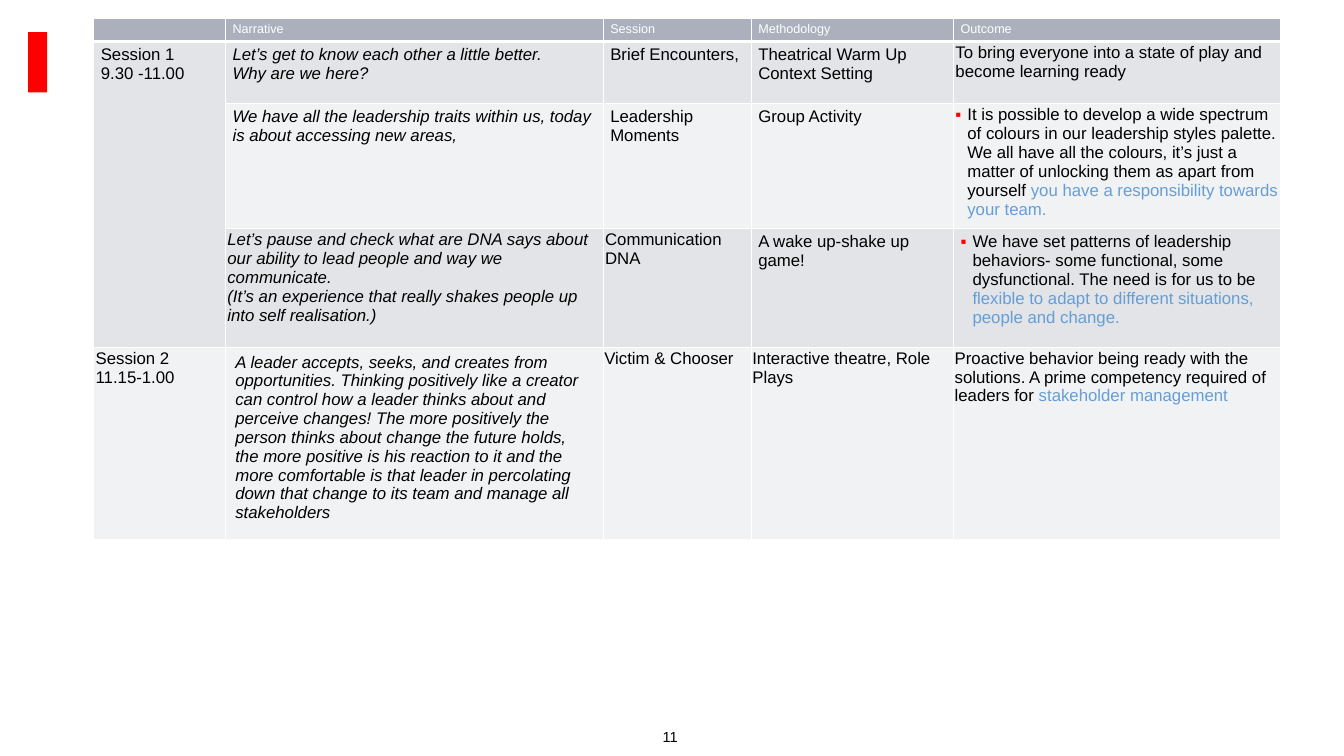
import pptx
import pptx.dml.color
import pptx.enum.shapes
import pptx.enum.text
import pptx.oxml.ns
import pptx.util
from lxml import etree
from pptx.util import Cm

FONT = "Arial"
BLACK, WHITE, RED, BLUE = "000000", "FFFFFF", "FF0000", "659ED7"
HEADER, DARK, LIGHT = "ABB0BC", "E2E4E7", "F1F2F3"
WIDE, NORMAL, SMALL, TINY = (0.25, 0.13), (0.18, 0.1), (0.05, 0.05), (0.03, 0.03)
COLUMNS = [3.32, 9.52, 3.73, 5.1, 8.25]
ROWS = [0.56, 1.57, 3.12, 3, 4.83]
HEADINGS = ["", "Narrative", "Session", "Methodology", "Outcome"]
NARRATIVE_COLUMN = 1
BULLETS = {(2, 4), (3, 4)}

AGENDA = [
    [
        (NORMAL, ["Session 1", "9.30 -11.00"]),
        (NORMAL, ["Let’s get to know each other a little better.", "Why are we here?"]),
        (NORMAL, ["Brief Encounters,"]),
        (NORMAL, ["Theatrical Warm Up", "Context Setting"]),
        (SMALL, ["To bring everyone into a state of play and become learning ready"]),
    ],
    [
        (NORMAL, []),
        (NORMAL, ["We have all the leadership traits within us, today is about "
                  "accessing new areas,"]),
        (NORMAL, ["Leadership Moments"]),
        (NORMAL, ["Group Activity"]),
        (SMALL, [("It is possible to develop a wide spectrum of colours in our "
                  "leadership styles palette. We all have all the colours, it’s just a "
                  "matter of unlocking them as apart from yourself ",
                  "you have a responsibility towards your team.")]),
    ],
    [
        (NORMAL, []),
        (SMALL, ["Let’s pause and check what are DNA says about our ability to lead "
                 "people and way we communicate.",
                 "(It’s an experience that really shakes people up into self "
                 "realisation.)"]),
        (SMALL, ["Communication DNA"]),
        (NORMAL, ["A wake up-shake up game!"]),
        (NORMAL, [("We have set patterns of leadership behaviors- some functional, some "
                   "dysfunctional. The need is for us to be ",
                   "flexible to adapt to different situations, people and change.")]),
    ],
    [
        (SMALL, ["Session 2", "11.15-1.00"]),
        (WIDE, ["A leader accepts, seeks, and creates from opportunities. Thinking "
                "positively like a creator can control how a leader thinks about and "
                "perceive changes! The more positively the person thinks about change "
                "the future holds, the more positive is his reaction to it and the more "
                "comfortable is that leader in percolating down that change to its team "
                "and manage all stakeholders"]),
        (TINY, ["Victim & Chooser"]),
        (TINY, ["Interactive theatre, Role Plays"]),
        (TINY, [("Proactive behavior being ready with the solutions. A prime competency "
                 "required of leaders for ", "stakeholder management")]),
    ],
]


def rgb(value):
    """Turn a hex string into a colour."""
    return pptx.dml.color.RGBColor.from_string(value)


def add_element(parent, tag, **attributes):
    """Append a DrawingML element to its parent."""
    return etree.SubElement(parent, pptx.oxml.ns.qn(tag), attributes)


def set_font(font, size, color, italic=False):
    """Set the look of a font."""
    font.name = FONT
    font.size = pptx.util.Pt(size)
    font.bold = False
    font.italic = italic
    font.color.rgb = rgb(color)


def set_margins(box, across, down):
    """Set the insets of a cell or text frame in centimetres."""
    box.margin_left = box.margin_right = Cm(across)
    box.margin_top = box.margin_bottom = Cm(down)


def add_bullet(p):
    """Give a paragraph a red square bullet with a hanging indent."""
    pPr = p._p.get_or_add_pPr()
    pPr.set("marL", str(Cm(0.3)))
    pPr.set("indent", str(-Cm(0.3)))
    add_element(add_element(pPr, "a:buClr"), "a:srgbClr", val=RED)
    add_element(pPr, "a:buFont", typeface=FONT)
    add_element(pPr, "a:buChar", char="▪")


def style_cell(cell, fill, bottom):
    """Draw white borders round a cell and fill it."""
    tcPr = cell._tc.get_or_add_tcPr()
    for side, width in (("L", 1), ("R", 1), ("T", 1), ("B", bottom)):
        line = add_element(tcPr, f"a:ln{side}", w=str(pptx.util.Pt(width)))
        add_element(add_element(line, "a:solidFill"), "a:srgbClr", val=WHITE)
    cell.fill.solid()
    cell.fill.fore_color.rgb = rgb(fill)


def write_cell(cell, margins, lines, size, color, italic=False, bullet=False):
    """Write paragraphs in a cell, with any second part of a line in blue."""
    set_margins(cell, *margins)
    tf = cell.text_frame
    for i, line in enumerate(lines):
        p = tf.add_paragraph() if i else tf.paragraphs[0]
        if bullet:
            add_bullet(p)
        set_font(p.font, size, color, italic)
        parts = [line] if isinstance(line, str) else line
        for j, text in enumerate(parts):
            r = p.add_run()
            r.text = text
            if j:
                r.font.color.rgb = rgb(BLUE)
    if not any(lines):
        add_element(tf.paragraphs[0]._p, "a:endParaRPr", sz=str(size * 100))


def add_agenda(s):
    """Add the agenda table."""
    frame = s.shapes.add_table(len(ROWS), len(COLUMNS), Cm(2.36), Cm(0.46),
                               Cm(sum(COLUMNS)), Cm(sum(ROWS)))
    table = frame.table
    table.horz_banding = False
    for column, width in zip(table.columns, COLUMNS):
        column.width = Cm(width)
    for row, height in zip(table.rows, ROWS):
        row.height = Cm(height)
    for c, heading in enumerate(HEADINGS):
        cell = table.cell(0, c)
        style_cell(cell, HEADER, 3)
        write_cell(cell, NORMAL, [heading] if heading else [], 9, WHITE)
    for r, entries in enumerate(AGENDA, 1):
        for c, (margins, lines) in enumerate(entries):
            cell = table.cell(r, c)
            style_cell(cell, DARK if r % 2 else LIGHT, 1)
            write_cell(cell, margins, lines, 12, BLACK,
                       c == NARRATIVE_COLUMN, (r, c) in BULLETS)
    table.cell(1, 0).merge(table.cell(3, 0))


def add_accent(s):
    """Add the red bar at the top left."""
    sp = s.shapes.add_shape(pptx.enum.shapes.MSO_SHAPE.RECTANGLE,
                            Cm(0.71), Cm(0.81), Cm(0.48), Cm(1.52))
    sp.shadow.inherit = False
    sp.fill.solid()
    sp.fill.fore_color.rgb = rgb(RED)
    sp.line.fill.background()


def add_page_number(s, number):
    """Add the page number at the bottom."""
    tf = s.shapes.add_textbox(Cm(16.66), Cm(18.34), Cm(0.46), Cm(0.46)).text_frame
    set_margins(tf, 0, 0)
    tf.word_wrap = False
    tf.vertical_anchor = pptx.enum.text.MSO_ANCHOR.MIDDLE
    p = tf.paragraphs[0]
    p.text = number
    p.alignment = pptx.enum.text.PP_ALIGN.CENTER
    set_font(p.font, 10.4, BLACK)


def main():
    """Build the agenda slide and save it."""
    prs = pptx.Presentation()
    prs.slide_width, prs.slide_height = Cm(33.87), Cm(19.05)
    s = prs.slides.add_slide(prs.slide_layouts[6])
    add_accent(s)
    add_page_number(s, "11")
    add_agenda(s)
    prs.save("out.pptx")


if __name__ == "__main__":
    main()
